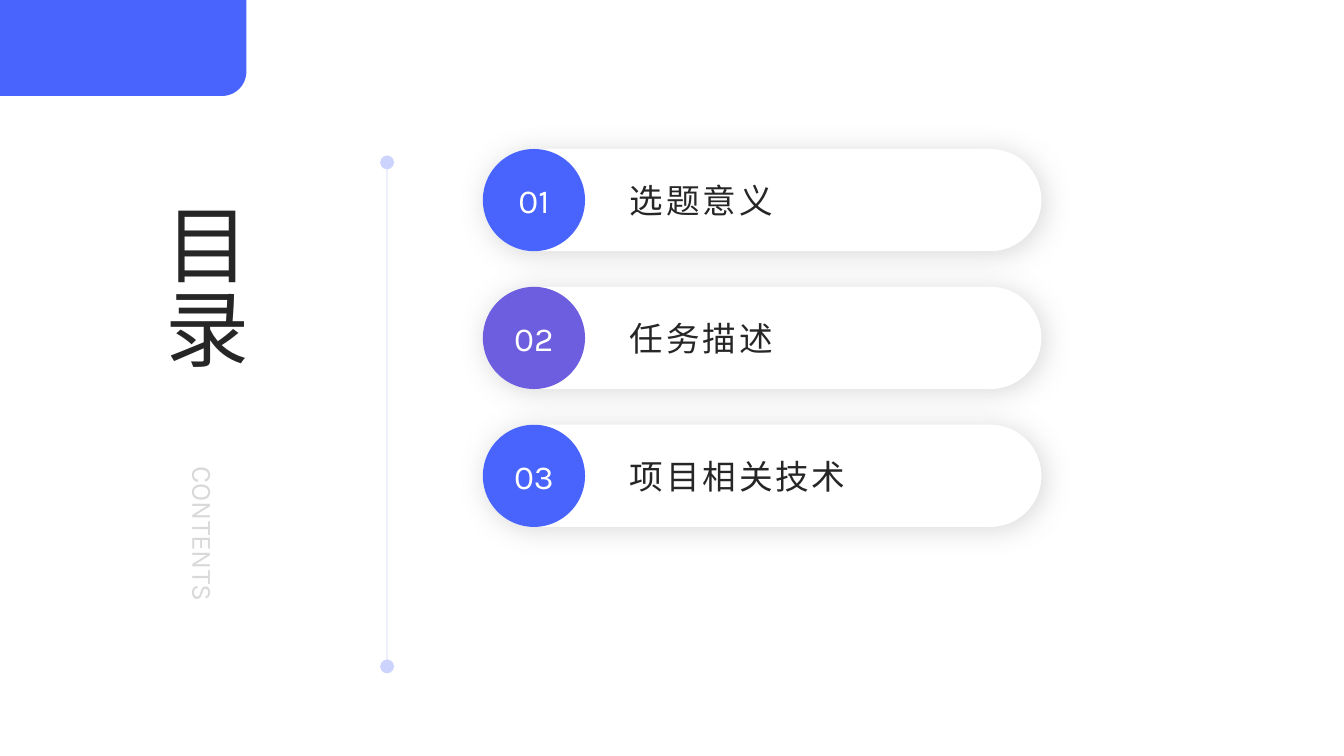
"""Build a contents slide with a vertical title and three numbered entries."""
import math
from dataclasses import dataclass

from lxml import etree
from pptx import Presentation
from pptx.dml.color import RGBColor
from pptx.enum import shapes, text
from pptx.oxml import ns
from pptx.util import Pt

COLORS = {
    "blue": "4864FC", "violet": "6C5EDE", "line": "002AF9", "white": "FFFFFF",
    "ink": "262626", "pale": "D9D9D9", "shadow": "808080",
}
FONT = "Karla"
ROW_LEFT, ROW_TOP, ROW_STEP = 344.9, 106.4, 98.5
ROW_WIDTH, ROW_HEIGHT = 399, 73
LABEL_LEFT, LABEL_WIDTH = 442.8, 301.7


@dataclass
class Entry:
    """One line of the contents."""
    number: str
    label: str
    color: str


ENTRIES = [
    Entry("01", "选题意义", "blue"),
    Entry("02", "任务描述", "violet"),
    Entry("03", "项目相关技术", "blue"),
]


def rgb(name: str) -> RGBColor:
    """Return a named colour."""
    return RGBColor.from_string(COLORS[name])


def add_xml(parent, tag: str, **attrs):
    """Append a drawing element to its parent."""
    return etree.SubElement(parent, ns.qn(tag), attrs)


def write(sp, content: str, *, size: float, color: str, align=None,
          inset: tuple = (0, 0), spacing: float = 0, vertical: bool = False) -> None:
    """Put one formatted paragraph in a shape."""
    tf = sp.text_frame
    tf.word_wrap = True
    tf.auto_size = text.MSO_AUTO_SIZE.NONE
    tf.vertical_anchor = text.MSO_ANCHOR.MIDDLE
    tf.margin_left = tf.margin_right = Pt(inset[0])
    tf.margin_top = tf.margin_bottom = Pt(inset[1])
    if vertical:
        tf._txBody.bodyPr.set("vert", "eaVert")
    p = tf.paragraphs[0]
    p.alignment = align
    r = p.add_run()
    r.text = content
    r.font.size = Pt(size)
    r.font.name = FONT
    r.font.color.rgb = rgb(color)
    r_pr = r.font._element
    if spacing:
        r_pr.set("spc", str(round(spacing * 100)))
    add_xml(r_pr, "a:ea", typeface=FONT)


def paint(sp, color: str) -> None:
    """Fill a shape and remove its outline and shadow."""
    sp.shadow.inherit = False
    sp.fill.solid()
    sp.fill.fore_color.rgb = rgb(color)
    sp.line.fill.background()


def add_soft_shadow(sp) -> None:
    """Give a shape a wide, faint shadow."""
    effects = sp._element.spPr.find(ns.qn("a:effectLst"))
    shadow = add_xml(effects, "a:outerShdw", blurRad=str(Pt(20)), dist=str(Pt(3)),
                     dir="2700000", algn="tl", rotWithShape="0")
    color = add_xml(shadow, "a:srgbClr", val=COLORS["shadow"])
    add_xml(color, "a:alpha", val="30000")


def add_corner_block(slide, width: float, height: float, radius: float) -> None:
    """Draw the block in the slide corner with one rounded corner."""
    angles = [math.radians(a) for a in range(0, 91, 5)]
    arc = [(Pt(width - radius + radius * math.cos(a)),
            Pt(height - radius + radius * math.sin(a))) for a in angles]
    outline = slide.shapes.build_freeform(0, 0)
    outline.add_line_segments([(Pt(width), 0), *arc, (0, Pt(height))], close=True)
    paint(outline.convert_to_shape(), "blue")


def add_divider(slide, x: float, top: float, bottom: float) -> None:
    """Draw the faint divider with a dot at each end."""
    line = slide.shapes.add_connector(
        shapes.MSO_CONNECTOR.STRAIGHT, Pt(x), Pt(top), Pt(x), Pt(bottom))
    line.line.width = Pt(0.5)
    line.line.color.rgb = rgb("line")
    sp_pr = line._element.spPr
    add_xml(sp_pr.find(".//" + ns.qn("a:srgbClr")), "a:alpha", val="20000")
    for end in ("a:headEnd", "a:tailEnd"):
        add_xml(sp_pr.find(ns.qn("a:ln")), end, type="oval", w="lg", len="lg")
    add_xml(sp_pr, "a:effectLst")


def add_entry(slide, entry: Entry, top: float) -> None:
    """Draw a pill with its number disc and label."""
    kinds = shapes.MSO_SHAPE
    box = Pt(ROW_LEFT), Pt(top)
    pill = slide.shapes.add_shape(
        kinds.ROUNDED_RECTANGLE, *box, Pt(ROW_WIDTH), Pt(ROW_HEIGHT))
    pill.adjustments[0] = 0.5
    paint(pill, "white")
    add_soft_shadow(pill)
    disc = slide.shapes.add_shape(kinds.OVAL, *box, Pt(ROW_HEIGHT), Pt(ROW_HEIGHT))
    paint(disc, entry.color)
    write(disc, entry.number, size=24, color="white", align=text.PP_ALIGN.CENTER)
    label = slide.shapes.add_textbox(
        Pt(LABEL_LEFT), Pt(top), Pt(LABEL_WIDTH), Pt(ROW_HEIGHT))
    write(label, entry.label, size=24, color="ink", inset=(7.2, 0), spacing=2)


def main() -> None:
    """Build and save the slide."""
    prs = Presentation()
    prs.slide_width, prs.slide_height = Pt(960), Pt(540)
    slide = prs.slides.add_slide(prs.slide_layouts[5])
    title = slide.shapes.title
    title.left, title.top, title.width, title.height = Pt(92.2), Pt(141.1), Pt(108), Pt(167)
    write(title, "目录", size=60, color="ink", align=text.PP_ALIGN.RIGHT,
          inset=(7.2, 3.6), vertical=True)
    add_divider(slide, 276.5, 116, 476)
    add_corner_block(slide, 176, 68.6, 17.5)
    subtitle = slide.shapes.add_textbox(Pt(91.4), Pt(326.2), Pt(108), Pt(153.4))
    write(subtitle, "CONTENTS", size=20, color="pale", align=text.PP_ALIGN.JUSTIFY,
          inset=(7.2, 3.6), vertical=True)
    for i, entry in enumerate(ENTRIES):
        add_entry(slide, entry, ROW_TOP + i * ROW_STEP)
    prs.save("out.pptx")


if __name__ == "__main__":
    main()
